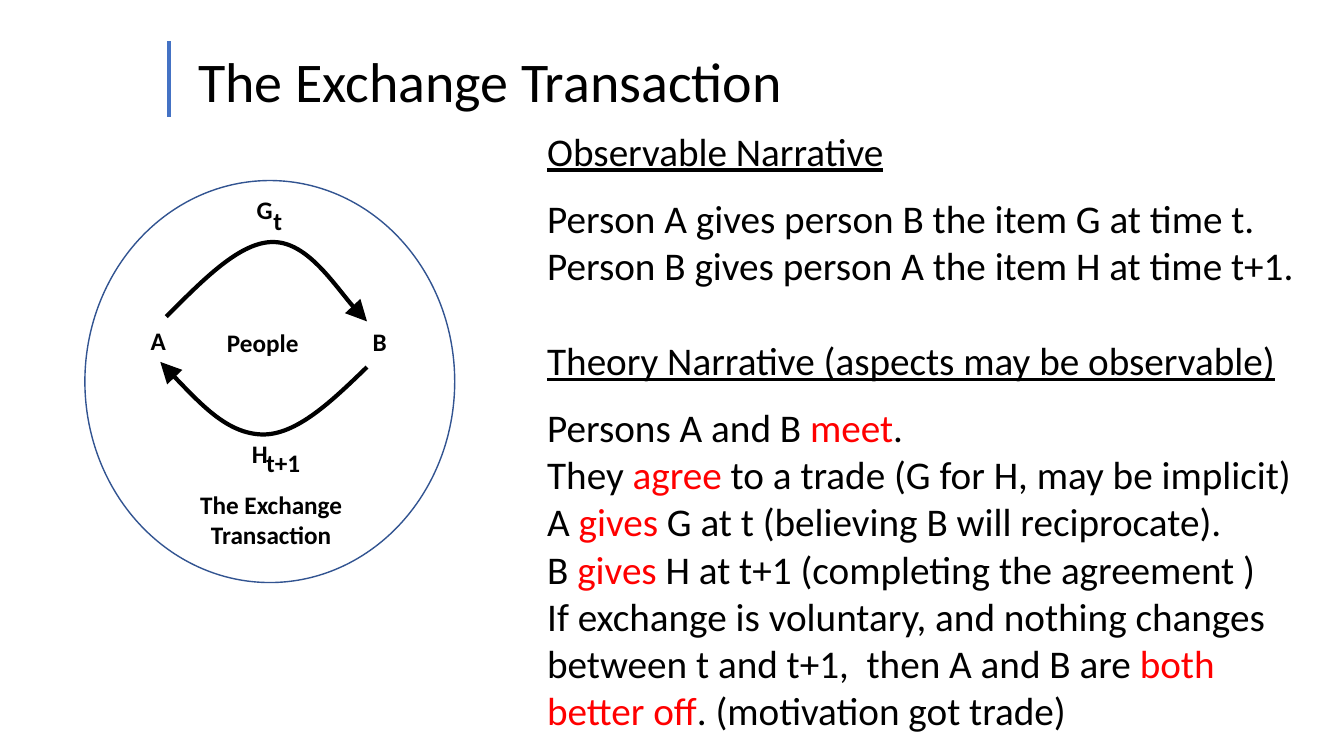
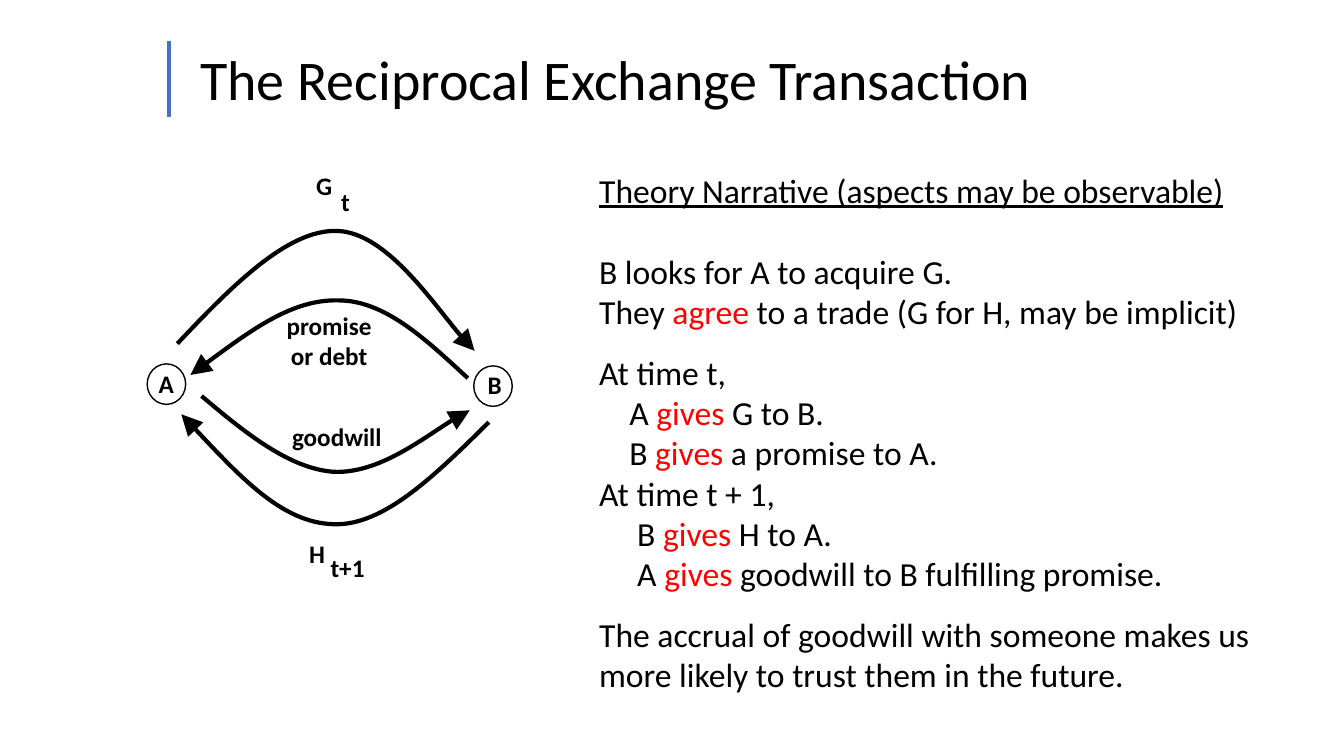
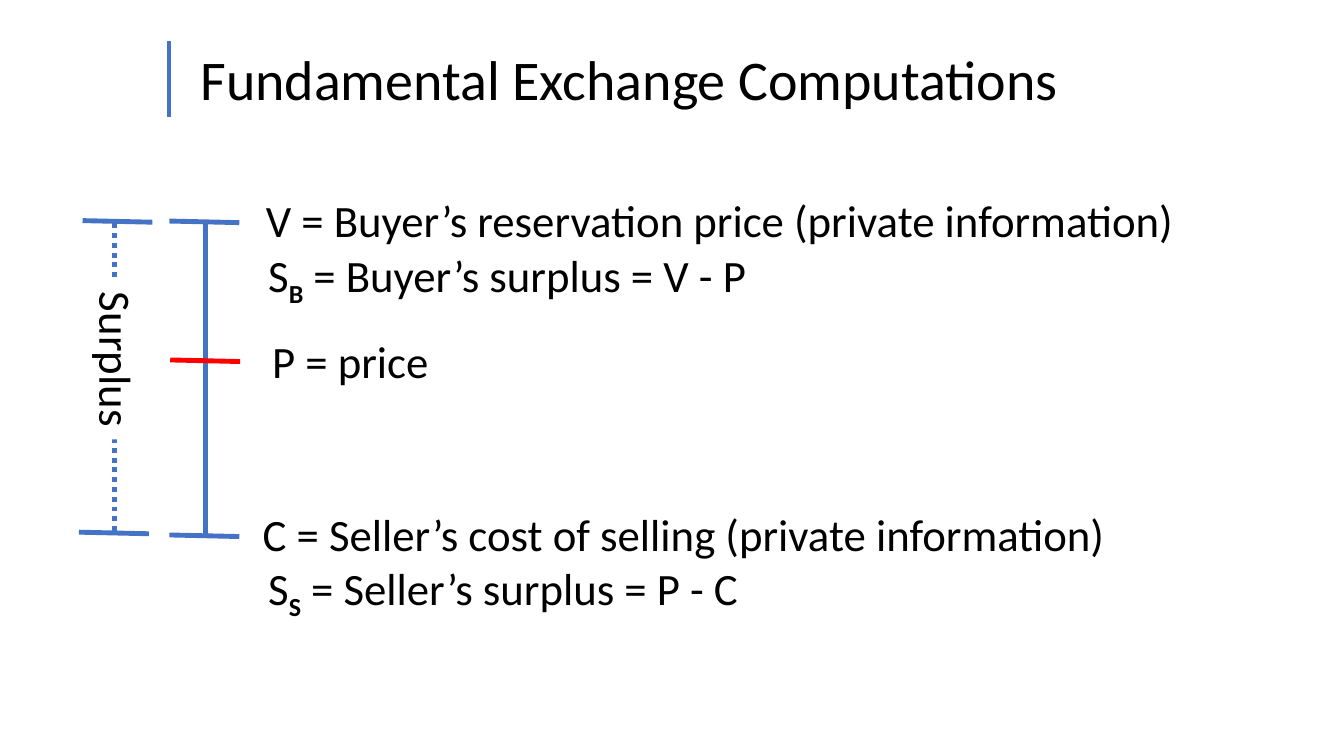
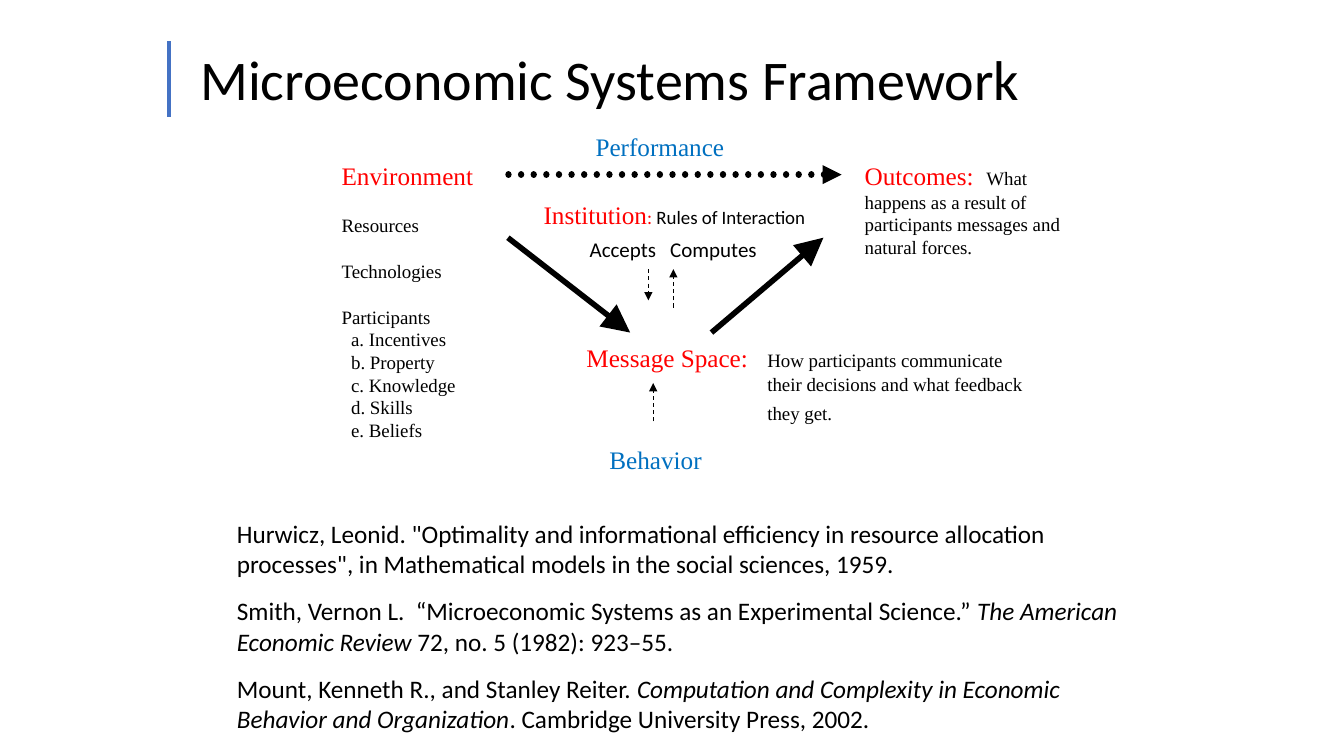
"""Build four slides on exchange transactions and microeconomic systems."""
from lxml import etree
from pptx import Presentation
from pptx.dml.color import RGBColor
from pptx.enum.dml import MSO_LINE
from pptx.enum.shapes import MSO_CONNECTOR, MSO_SHAPE
from pptx.enum.text import PP_ALIGN
from pptx.oxml.ns import qn
from pptx.util import Cm, Pt

COLORS = {
    "black": "000000",
    "white": "FFFFFF",
    "red": "FF0000",
    "blue": "4472C4",
    "navy": "325491",
    "sky": "0070C0",
}
BODY_FONT = "Calibri"
SERIF_FONT = "Times New Roman"
CENTER = PP_ALIGN.CENTER
DOT = MSO_LINE.ROUND_DOT
DASH = MSO_LINE.DASH
STRAIGHT = MSO_CONNECTOR.STRAIGHT
ELLIPSE = MSO_SHAPE.OVAL

SUBSCRIPT = {"bold": True, "baseline": -25000}
ITALIC = {"italic": True}
HEADING = {"size": 18, "color": "red"}


def rgb(name):
    return RGBColor.from_string(COLORS[name])


def red(text):
    return text, {"color": "red"}


def line(*pieces, gap=0, indent=0, hanging=False, **style):
    runs = [(piece, {}) if isinstance(piece, str) else piece for piece in pieces]
    return {"runs": runs, "gap": gap, "indent": indent, "hanging": hanging, "style": style}


class Deck:
    """Hold the presentation, its style and the current slide."""

    def __init__(self):
        self.presentation = Presentation()
        self.presentation.slide_width = Cm(33.87)
        self.presentation.slide_height = Cm(19.05)
        self.slide = None

    def add_slide(self, title, width, left=4.8, top=0.99):
        layout = self.presentation.slide_layouts[6]
        self.slide = self.presentation.slides.add_slide(layout)
        self.connector((4.26, 1.04), (4.26, 2.95), weight=2.25)
        self.text((left, top, width, 1.96), [line(title)], size=40)

    def style_font(self, font, size, color="black", name=BODY_FONT,
                   bold=False, italic=False, underline=False):
        font.size = Pt(size)
        font.color.rgb = rgb(color)
        font.name = name
        font.bold = bold
        font.italic = italic
        font.underline = underline

    def text(self, box, lines, align=None, **style):
        shape = self.slide.shapes.add_textbox(*(Cm(length) for length in box))
        frame = shape.text_frame
        frame.word_wrap = True
        for index, content in enumerate(lines):
            paragraph = frame.add_paragraph() if index else frame.paragraphs[0]
            paragraph.alignment = align
            if content["gap"]:
                paragraph.space_before = Pt(content["gap"])
            if content["indent"]:
                properties = paragraph._p.get_or_add_pPr()
                properties.set("marL", str(Cm(content["indent"])))
                if content["hanging"]:
                    properties.set("indent", str(-Cm(content["indent"])))
            base = {**style, **content["style"]}
            mixed = len(content["runs"]) > 1
            if not mixed:
                self.style_font(paragraph.font, **base)
            for text, changes in content["runs"]:
                run = paragraph.add_run()
                run.text = text
                if mixed:
                    run_style = {**base, **changes}
                    baseline = run_style.pop("baseline", 0)
                    self.style_font(run.font, **run_style)
                    if baseline:
                        run._r.get_or_add_rPr().set("baseline", str(baseline))
        return shape

    def label(self, text, left, top, width):
        self.text((left, top, width, 1.02), [line(text)], size=18, bold=True)

    def ellipse(self, box, color):
        shape = self.slide.shapes.add_shape(ELLIPSE, *(Cm(length) for length in box))
        shape.shadow.inherit = False
        shape.fill.background()
        shape.line.color.rgb = rgb(color)
        shape.line.width = Pt(1)

    def stroke(self, shape, color, weight, dash=None, head=None, tail=None, rounded=False):
        shape.line.color.rgb = rgb(color)
        shape.line.width = Pt(weight)
        if dash:
            shape.line.dash_style = dash
        outline = shape.get_or_add_ln()
        if rounded:
            outline.set("cap", "rnd")
        for tag, size in (("a:headEnd", head), ("a:tailEnd", tail)):
            if size:
                etree.SubElement(outline, qn(tag), type="triangle", w=size, len=size)

    def connector(self, start, end, color="blue", weight=3.5, **options):
        points = (Cm(length) for length in (*start, *end))
        shape = self.slide.shapes.add_connector(STRAIGHT, *points)
        self.stroke(shape, color, weight, **options)
        etree.SubElement(shape._element.spPr, qn("a:effectLst"))

    def curved_arrow(self, start, *controls):
        builder = self.slide.shapes.build_freeform(Cm(start[0]), Cm(start[1]))
        builder.add_line_segments([(Cm(x), Cm(y)) for x, y in controls], close=False)
        shape = builder.convert_to_shape()
        segments = list(shape._element.iter(qn("a:lnTo")))
        outline = segments[0].getparent()
        for first in range(0, len(segments), 3):
            curve = etree.SubElement(outline, qn("a:cubicBezTo"))
            for segment in segments[first:first + 3]:
                curve.append(segment[0])
                outline.remove(segment)
        shape.shadow.inherit = False
        shape.fill.background()
        self.stroke(shape, "black", 3, tail="lg")


def exchange_slide(deck):
    deck.add_slide("The Exchange Transaction", 15.5, left=4.75, top=1.04)
    deck.ellipse((2.14, 4.55, 9.32, 10.13), "navy")
    deck.text((4.03, 12.21, 5.61, 1.8), [line("The Exchange Transaction")],
              align=CENTER, size=18, bold=True)
    deck.curved_arrow((4.19, 7.98), (5.13, 7.04), (6.07, 6.07), (6.91, 6.1),
                      (7.75, 6.12), (8.84, 7.75), (9.25, 8.1))
    deck.curved_arrow((9.25, 9.25), (8.36, 10.11), (7.47, 10.97), (6.6, 10.95),
                      (5.74, 10.92), (4.88, 10.01), (4.04, 9.12))
    for label in (
        ("H", 6.1, 10.92, 0.91),
        ("t+1", 6.46, 11.15, 1.83),
        ("G", 6.22, 4.78, 1.02),
        ("t", 6.64, 5.05, 0.99),
        ("A", 3.55, 8.08, 0.89),
        ("B", 9.14, 8.1, 0.86),
        ("People", 5.47, 8.13, 2.4),
    ):
        deck.label(*label)
    deck.text((13.54, 3.08, 19.74, 15.65), [
        line("Observable Narrative", underline=True),
        line("Person A gives person B the item G at time t.", gap=14.5),
        line("Person B gives person A the item H at time t+1."),
        line("Theory Narrative (aspects may be observable)", gap=34, underline=True),
        line("Persons A and B ", red("meet"), ".", gap=14.5),
        line("They ", red("agree"), " to a trade (G for H, may be implicit)"),
        line("A ", red("gives"), " G at t (believing B will reciprocate)."),
        line("B ", red("gives"), " H at t+1 (completing the agreement )"),
        line("If exchange is voluntary, and nothing changes between t and t+1,  "
             "then A and B are ", red("both better off"), ". (motivation got trade)"),
    ], size=28)


def reciprocal_slide(deck):
    deck.add_slide("The Reciprocal Exchange Transaction", 21.8)
    deck.text((6.92, 7.7, 2.75, 1.8), [line("promise"), line("or debt")],
              align=CENTER, size=18, bold=True)
    for controls in (
        ((5.08, 9.98), (6.17, 10.9), (7.29, 11.81), (8.41, 11.89),
         (9.55, 11.94), (11.28, 10.59), (11.84, 10.34)),
        ((4.47, 8.66), (5.84, 7.21), (7.24, 5.79), (8.48, 5.82),
         (9.73, 5.84), (11.38, 8.31), (11.96, 8.84)),
        ((11.79, 9.53), (10.74, 8.56), (9.7, 7.57), (8.53, 7.57),
         (7.37, 7.54), (6.1, 8.48), (4.8, 9.45)),
        ((12.32, 10.64), (11, 11.94), (9.68, 13.26), (8.41, 13.21),
         (7.11, 13.18), (5.84, 11.79), (4.57, 10.44)),
    ):
        deck.curved_arrow(*controls)
    for label in (
        ("goodwill", 7.11, 10.49, 2.85),
        ("H", 7.54, 13.44, 1.37),
        ("t+1", 8.08, 13.79, 2.72),
        ("G", 7.72, 4.17, 1.52),
        ("t", 8.35, 4.58, 1.47),
        ("A", 3.75, 9.16, 0.89),
        ("B", 12.04, 9.17, 0.86),
    ):
        deck.label(*label)
    for left, top in ((3.71, 9.17), (11.94, 9.22)):
        deck.ellipse((left, top, 0.97, 1.02), "black")
    deck.text((14.85, 4.15, 16.94, 13.59), [
        line("Theory Narrative (aspects may be observable)", underline=True),
        line("B looks for A to acquire G.", gap=29),
        line("They ", red("agree"), " to a trade (G for H, may be implicit)"),
        line("At time t,", gap=14.5),
        line("A ", red("gives"), " G to B.", indent=0.76),
        line("B ", red("gives"), " a promise to A.", indent=0.76),
        line("At time t + 1,"),
        line("B ", red("gives"), " H to A.", indent=0.96),
        line("A ", red("gives"), " goodwill to B fulfilling promise.", indent=0.96),
        line("The accrual of goodwill with someone makes us more likely to trust "
             "them in the future.", gap=14.5),
    ], size=24)


def computations_slide(deck):
    deck.add_slide("Fundamental Exchange Computations", 22.5)
    deck.connector((2.88, 5.63), (2.88, 13.49), dash=DOT)
    deck.connector((5.18, 5.61), (5.18, 13.45))
    for left, top, color in (
        (4.27, 5.57, "blue"),
        (4.27, 13.48, "blue"),
        (4.29, 9.07, "red"),
        (2.08, 5.56, "blue"),
        (1.99, 13.41, "blue"),
    ):
        deck.connector((left, top), (left + 1.76, top + 0.04), color)
    surplus = deck.text((0.92, 8.24, 4.04, 1.63), [line("Surplus")],
                        align=CENTER, size=32)
    surplus.rotation = 90
    surplus.fill.solid()
    surplus.fill.fore_color.rgb = rgb("white")
    for left, top, width, content in (
        (6.45, 4.73, 25.98, line("V = Buyer’s reservation price (private information)")),
        (6.37, 12.64, 22.4, line("C = Seller’s cost of selling (private information)")),
        (6.61, 8.28, 4.6, line("P = price")),
        (6.51, 6.12, 18.52, line("S", ("B", SUBSCRIPT), " = Buyer’s surplus = V - P")),
        (6.51, 14, 18.52, line("S", ("S", SUBSCRIPT), " = Seller’s surplus = P - C")),
    ):
        deck.text((left, top, width, 1.63), [content], size=32)


def framework_slide(deck):
    deck.add_slide("Microeconomic Systems Framework", 21.5)
    deck.text((14.53, 8.51, 11.76, 2.36), [
        line(("Message Space:", HEADING), "\tHow participants communicate",
             indent=4.56, hanging=True),
        line("their decisions and what feedback", indent=4.56),
        line("they get.", indent=4.56, gap=4.5),
    ], size=13.5, name=SERIF_FONT)
    deck.text((8.36, 3.92, 3.95, 7.37), [
        line("Environment", **HEADING),
        *(line(factor, gap=16.5)
          for factor in ("Resources", "Technologies", "Participants")),
        *(line(trait, indent=0.24)
          for trait in ("a. Incentives", "b. Property", "c. Knowledge",
                        "d. Skills", "e. Beliefs")),
    ], size=13.5, name=SERIF_FONT)
    deck.text((21.54, 3.91, 5.87, 3.33), [
        line(("Outcomes:  ", HEADING), "What"),
        line("happens as a result of"),
        line("participants messages and natural forces."),
    ], size=13.5, name=SERIF_FONT)
    for start, end in (((12.8, 5.99), (15.88, 8.38)), ((17.93, 8.38), (20.75, 5.99))):
        deck.connector(start, end, "black", 4, tail="lg")
    deck.text((13.45, 4.9, 7.3, 1.02), [
        line(("Institution", {**HEADING, "name": SERIF_FONT}), red(": "),
             "Rules of Interaction"),
    ], size=13.5)
    deck.text((14.61, 5.84, 4.95, 0.89),
              [line("Accepts\tComputes", indent=2.03, hanging=True)], size=15)
    deck.connector((21.21, 4.4), (12.65, 4.4), "black", 4.5,
                   dash=DOT, head="med", rounded=True)
    for x, start, end in ((16.97, 7.75, 6.78), (16.34, 6.78, 7.57), (16.46, 10.62, 9.65)):
        deck.connector((x, start), (x, end), "black", 0.75, dash=DASH, tail="med")
    for title, left, top, width in (
        ("Performance", 14.76, 3.18, 3.85),
        ("Behavior", 15.11, 11.07, 2.95),
    ):
        deck.text((left, top, width, 1.02), [line(title)],
                  size=18, color="sky", name=SERIF_FONT)
    deck.text((5.72, 12.94, 22.89, 6.5), [
        line('Hurwicz, Leonid. "Optimality and informational efficiency in resource '
             'allocation processes", in Mathematical models in the social sciences, 1959.'),
        line("Smith, Vernon L.  “Microeconomic Systems as an Experimental Science.” ",
             ("The American Economic Review", ITALIC),
             " 72, no. 5 (1982): 923–55.", gap=12),
        line("Mount, Kenneth R., and Stanley Reiter. ",
             ("Computation and Complexity in Economic Behavior and Organization", ITALIC),
             ". Cambridge University Press, 2002.", gap=12),
    ], size=18)


def main():
    deck = Deck()
    exchange_slide(deck)
    reciprocal_slide(deck)
    computations_slide(deck)
    framework_slide(deck)
    deck.presentation.save("out.pptx")


if __name__ == "__main__":
    main()
